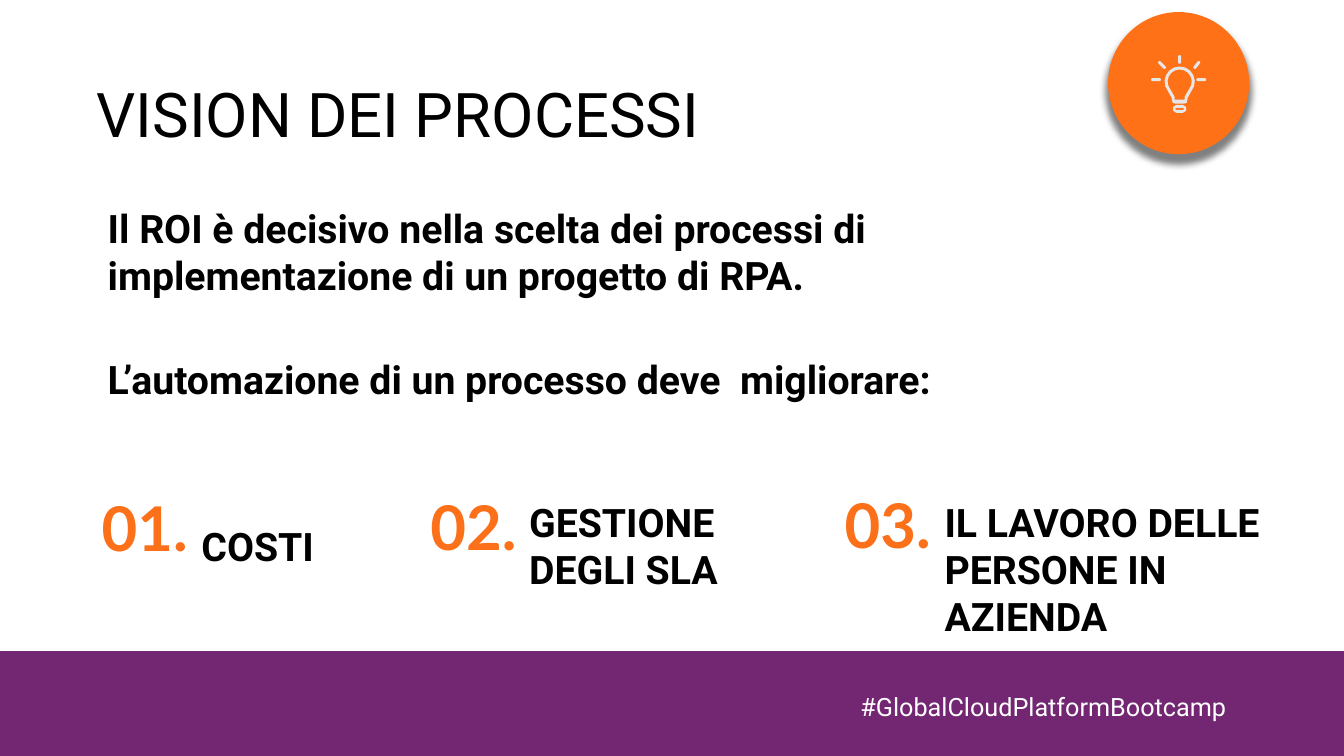
from dataclasses import dataclass
from math import atan2, cos, pi, radians, sin

from lxml.etree import SubElement
from pptx import Presentation
from pptx.dml.color import RGBColor
from pptx.enum.shapes import MSO_SHAPE
from pptx.enum.text import MSO_ANCHOR, MSO_AUTO_SIZE, PP_ALIGN
from pptx.oxml.ns import qn
from pptx.util import Inches, Pt

BLACK = RGBColor(0x00, 0x00, 0x00)
WHITE = RGBColor(0xFF, 0xFF, 0xFF)
PURPLE = RGBColor(0x73, 0x27, 0x73)
ORANGE = RGBColor(0xFE, 0x71, 0x17)
NUMBER_ORANGE = RGBColor(0xFB, 0x70, 0x18)
ICON_GREY = RGBColor(0xE7, 0xE6, 0xE6)

TITLE = {"name": "Roboto", "size": Pt(44), "bold": False, "color": BLACK}
BODY = {"name": "Roboto", "size": Pt(28), "bold": True, "color": BLACK}
NUMBER = {"name": "Lato", "size": Pt(44), "bold": True, "color": NUMBER_ORANGE}
HASHTAG = {"name": "Roboto", "size": Pt(18), "bold": False, "color": WHITE}

Points = list[tuple[float, float]]


@dataclass
class Label:
    text: str
    left: float
    top: float
    width: float
    height: float
    style: dict
    align: PP_ALIGN = PP_ALIGN.LEFT
    grow: bool = True


LABELS = [
    Label("#GlobalCloudPlatformBootcamp", 7.94, 6.81, 4.32, 0.4, HASHTAG, PP_ALIGN.RIGHT),
    Label("Il ROI è decisivo nella scelta dei processi di implementazione "
          "di un progetto di RPA.", 0.97, 1.98, 10.02, 1.04, BODY),
    Label("L’automazione di un processo deve  migliorare:", 0.97, 3.48, 8.54, 0.57, BODY),
    Label("01.", 0.91, 4.81, 1.86, 0.44, NUMBER, grow=False),
    Label("COSTI", 1.9, 5.13, 1.43, 0.57, BODY),
    Label("02.", 4.17, 4.8, 1.86, 0.44, NUMBER, grow=False),
    Label("GESTIONE DEGLI SLA", 5.15, 4.89, 2.51, 1.04, BODY),
    Label("03.", 8.28, 4.78, 1.86, 0.44, NUMBER, grow=False),
    Label("IL LAVORO DELLE PERSONE IN AZIENDA", 9.27, 4.89, 3.66, 1.04, BODY),
]

# Light bulb: centre, then ray ends relative to it
BULB_X, BULB_Y = 11.7, 0.81
RAYS = [
    ((0, -0.25), (0, -0.19)),
    ((0.19, -0.19), (0.15, -0.14)),
    ((0.18, -0.02), (0.25, -0.02)),
    ((-0.2, -0.19), (-0.15, -0.14)),
    ((-0.27, -0.02), (-0.2, -0.02)),
]


def place(sp, left: float, top: float, width: float, height: float) -> None:
    sp.left, sp.top = Inches(left), Inches(top)
    sp.width, sp.height = Inches(width), Inches(height)


def write(tf, text: str, style: dict, align: PP_ALIGN) -> None:
    tf.word_wrap = True
    p = tf.paragraphs[0]
    p.alignment = align
    r = p.add_run()
    r.text = text
    for key, value in style.items():
        if key == "color":
            r.font.color.rgb = value
        else:
            setattr(r.font, key, value)


def add_label(s, label: Label) -> None:
    sp = s.shapes.add_textbox(0, 0, 0, 0)
    place(sp, label.left, label.top, label.width, label.height)
    tf = sp.text_frame
    tf.auto_size = MSO_AUTO_SIZE.SHAPE_TO_FIT_TEXT if label.grow else MSO_AUTO_SIZE.NONE
    write(tf, label.text, label.style, label.align)


def paint(sp, color: RGBColor) -> None:
    sp.shadow.inherit = False
    sp.fill.solid()
    sp.fill.fore_color.rgb = color
    sp.line.fill.background()


def add_preset(s, kind: MSO_SHAPE, color: RGBColor, *box: float):
    sp = s.shapes.add_shape(kind, 0, 0, 0, 0)
    place(sp, *box)
    paint(sp, color)
    return sp


def add_outline(group, *contours: Points) -> None:
    """Draw contours, given relative to the bulb centre, as one shape."""
    builder = None
    for contour in contours:
        points = [(Inches(BULB_X + x), Inches(BULB_Y + y)) for x, y in contour]
        if builder is None:
            builder = group.shapes.build_freeform(*points[0], scale=1.0)
        else:
            builder.move_to(*points[0])
        builder.add_line_segments(points[1:], close=True)
    paint(builder.convert_to_shape(), ICON_GREY)


def arc(x: float, y: float, radius: float, start: float, sweep: float,
        steps: int) -> Points:
    angles = [start + sweep * i / steps for i in range(steps + 1)]
    return [(x + radius * cos(a), y + radius * sin(a)) for a in angles]


def capsule(start: tuple, end: tuple, width: float) -> Points:
    angle = atan2(end[1] - start[1], end[0] - start[0])
    return (arc(*end, width / 2, angle - pi / 2, pi, 3)
            + arc(*start, width / 2, angle + pi / 2, pi, 3))


def bulb(radius: float, neck: Points) -> Points:
    mirrored = [(-x, y) for x, y in reversed(neck)]
    return arc(0, 0, radius, radians(140), radians(260), 12) + neck + mirrored


def add_bulb_icon(s) -> None:
    group = s.shapes.add_group_shape()
    add_outline(
        group,
        bulb(0.15, [(0.08, 0.16), (0.07, 0.21), (0.04, 0.22)]),
        bulb(0.12, [(0.05, 0.15), (0.05, 0.18)]),
    )
    add_outline(
        group,
        capsule((-0.03, 0.27), (0.03, 0.27), 0.08),
        [(-0.04, 0.26), (0.04, 0.26), (0.04, 0.28), (-0.04, 0.28)],
    )
    for start, end in RAYS:
        add_outline(group, capsule(start, end, 0.03))


def add_shadow(sp) -> None:
    effects = sp._element.spPr.find(qn("a:effectLst"))
    shadow = SubElement(effects, qn("a:outerShdw"), blurRad=str(Pt(5)),
                        dist=str(Pt(4)), dir="5400000", sx="103000", sy="103000",
                        algn="t", rotWithShape="0")
    color = SubElement(shadow, qn("a:srgbClr"), val=str(BLACK))
    SubElement(color, qn("a:alpha"), val="50000")


def main() -> None:
    prs = Presentation()
    prs.slide_width, prs.slide_height = Inches(13.33), Inches(7.5)
    s = prs.slides.add_slide(prs.slide_layouts[5])

    # Title
    title = s.shapes.title
    place(title, 0.86, 0.44, 9.04, 1.45)
    tf = title.text_frame
    tf.vertical_anchor = MSO_ANCHOR.MIDDLE
    write(tf, "VISION DEI PROCESSI", TITLE, PP_ALIGN.LEFT)
    tf.paragraphs[0].line_spacing = 0.9

    # Footer band and badge
    add_preset(s, MSO_SHAPE.RECTANGLE, PURPLE, 0, 6.46, 13.33, 1.04)
    badge = add_preset(s, MSO_SHAPE.OVAL, ORANGE, 10.99, 0.12, 1.4, 1.41)
    add_shadow(badge)
    add_bulb_icon(s)

    # Texts
    for label in LABELS:
        add_label(s, label)

    prs.save("out.pptx")


if __name__ == "__main__":
    main()
